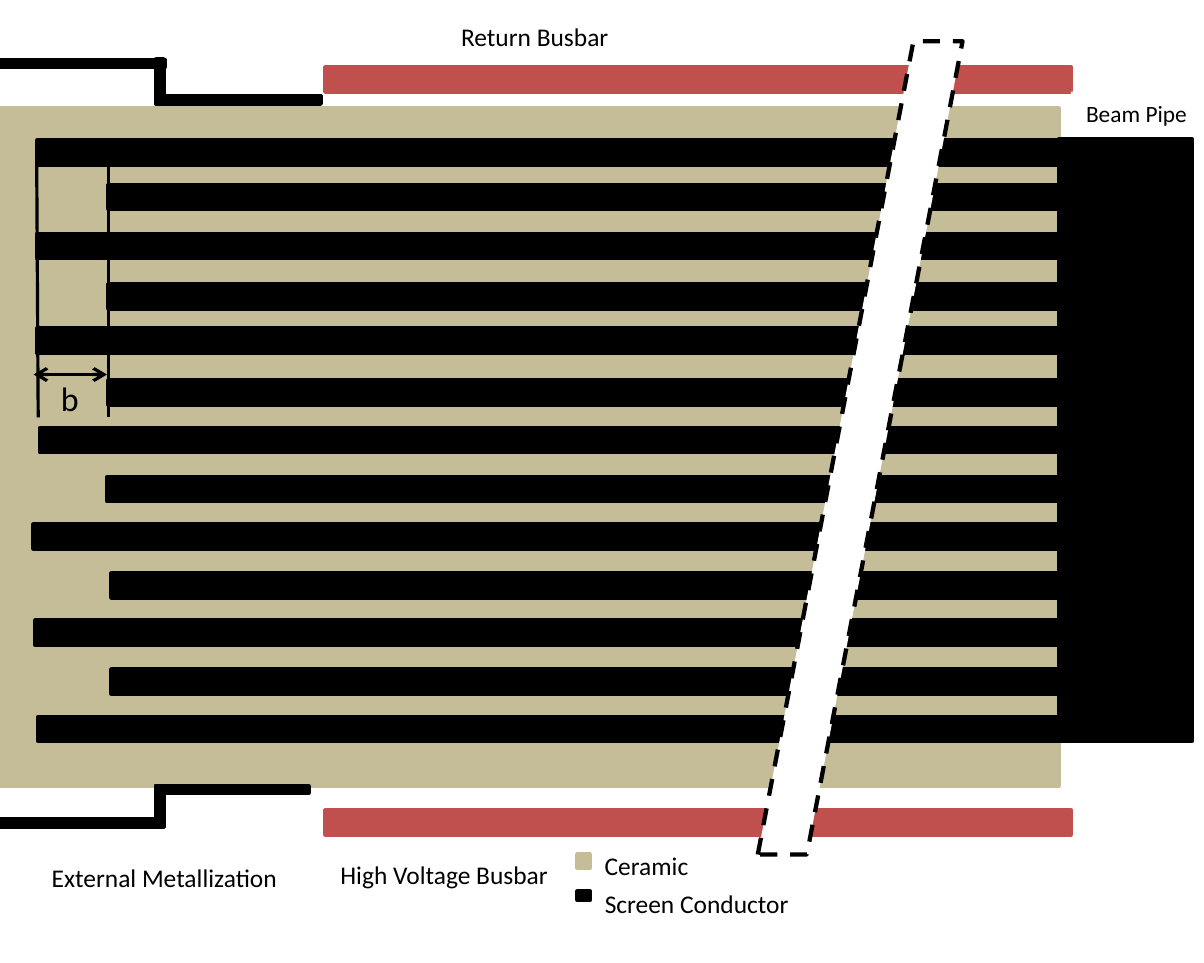
from dataclasses import dataclass
from pptx import Presentation
from pptx.dml.color import RGBColor as Rgb
from pptx.enum.dml import MSO_LINE as Dash
from pptx.enum.shapes import MSO_CONNECTOR as Link, MSO_SHAPE as Form
from pptx.enum.text import MSO_ANCHOR as Anchor, MSO_AUTO_SIZE as Fit, PP_ALIGN as Align
from pptx.oxml.ns import qn
from pptx.util import Inches, Pt
from lxml.etree import SubElement as Sub


@dataclass(frozen=True)
class Theme:
    """Colours, type sizes and line widths of the slide."""
    clay: Rgb = Rgb(0xC4, 0xBD, 0x97)
    black: Rgb = Rgb(0, 0, 0)
    red: Rgb = Rgb(0xC0, 0x50, 0x4D)
    white: Rgb = Rgb(255, 255, 255)
    font: str = "Calibri"
    small: int = 11
    text: int = 12
    large: int = 16
    edge: float = 2
    rule: float = 1.5


THEME = Theme()
COLS, ROWS = 788, 630  # grid of 0.01 inch cells
THICK = 16             # stripes and busbars
THIN = 5               # external metallization
END = 693              # right end of the ceramic

# First column and top row of each screen conductor
STRIPES = [(24, 92), (71, 121), (24, 153), (71, 186), (24, 215), (71, 249),
           (26, 280), (70, 312), (22, 343), (73, 375), (23, 406), (73, 438),
           (25, 469)]


def cell(count):
    """Turn a count of grid cells into a length."""
    return Inches(count / 100)


def block(slide, box, fill, form=Form.RECTANGLE, edge=None):
    """Draw a filled shape; its outline takes the fill colour by default."""
    shape = slide.shapes.add_shape(form, *map(cell, box))
    shape.shadow.inherit = False
    shape.fill.solid()
    shape.fill.fore_color.rgb = fill
    shape.line.color.rgb = fill if edge is None else edge
    shape.line.width = Pt(THEME.edge)
    return shape


def label(slide, box, words, size=THEME.text, plate=False):
    """Write one line of text, on a white plate if asked."""
    if plate:
        shape = block(slide, box, THEME.white)
        shape.line.fill.background()
    else:
        shape = slide.shapes.add_textbox(*map(cell, box))
    frame = shape.text_frame
    frame.word_wrap = False
    frame.auto_size = Fit.SHAPE_TO_FIT_TEXT
    frame.vertical_anchor = Anchor.TOP
    para = frame.paragraphs[0]
    para.alignment = Align.LEFT
    run = para.add_run()
    run.text = words
    run.font.name = THEME.font
    run.font.size = Pt(size)
    run.font.color.rgb = THEME.black


def rule(slide, start, stop, arrows=False):
    """Draw a straight black line, with arrowheads at both ends if asked."""
    line = slide.shapes.add_connector(Link.STRAIGHT, *map(cell, start + stop))
    line.line.color.rgb = THEME.black
    line.line.width = Pt(THEME.rule)
    props = line.line._get_or_add_ln()
    if arrows:
        for end in ("a:headEnd", "a:tailEnd"):
            Sub(props, qn(end)).set("type", "arrow")
    Sub(props.getparent(), qn("a:effectLst"))


def metal(slide, outer, inner, ends):
    """Draw a stepped strip: outer arm, inner arm and the riser between."""
    left, top = 102, min(outer, inner)
    block(slide, (0, outer, ends[0], THIN), THEME.black)
    block(slide, (left, inner, ends[1] - left, THIN), THEME.black)
    block(slide, (left, top, THIN, 27), THEME.black)


def gauge(slide):
    """Mark the offset b between long and short conductors."""
    rule(slide, (24, 99), (25, 273))
    rule(slide, (71, 92), (71, 273))
    rule(slide, (22, 245), (70, 245), arrows=True)
    label(slide, (30, 242, 32, 37), "b", THEME.large)


def cut(slide):
    """Draw the dashed slanted break across the layers."""
    shape = block(slide, (496, 27, 134, 532), THEME.white,
                  Form.PARALLELOGRAM, THEME.black)
    shape.adjustments[0] = 0.76
    shape.line.dash_style = Dash.DASH


def key(slide, top, high, fill, box, words):
    """Draw one legend entry."""
    block(slide, (378, top, 8, high), fill)
    label(slide, box, words)


def main():
    """Build the slide and save it."""
    deck = Presentation()
    deck.slide_width, deck.slide_height = cell(COLS), cell(ROWS)
    slide = deck.slides.add_slide(deck.slide_layouts[6])

    block(slide, (0, 71, END, 443), THEME.clay)
    for top in (44, 530):
        block(slide, (213, top, 488, THICK), THEME.red)
    block(slide, (END, 91, 87, 394), THEME.black)
    for left, top in STRIPES:
        block(slide, (left, top, END - left, THICK), THEME.black)
    gauge(slide)
    metal(slide, 39, 63, (108, 210))
    metal(slide, 536, 514, (102, 202))

    label(slide, (292, 9, 117, 30), "Return Busbar", plate=True)
    label(slide, (213, 557, 157, 30), "High Voltage Busbar", plate=True)
    label(slide, (701, 60, 87, 29), "Beam Pipe", THEME.small, plate=True)
    label(slide, (24, 559, 169, 30), "External Metallization")
    key(slide, 559, 9, THEME.clay, (386, 551, 76, 30), "Ceramic")
    key(slide, 583, 6, THEME.black, (386, 576, 142, 30), "Screen Conductor")
    cut(slide)

    deck.save("out.pptx")


main()
